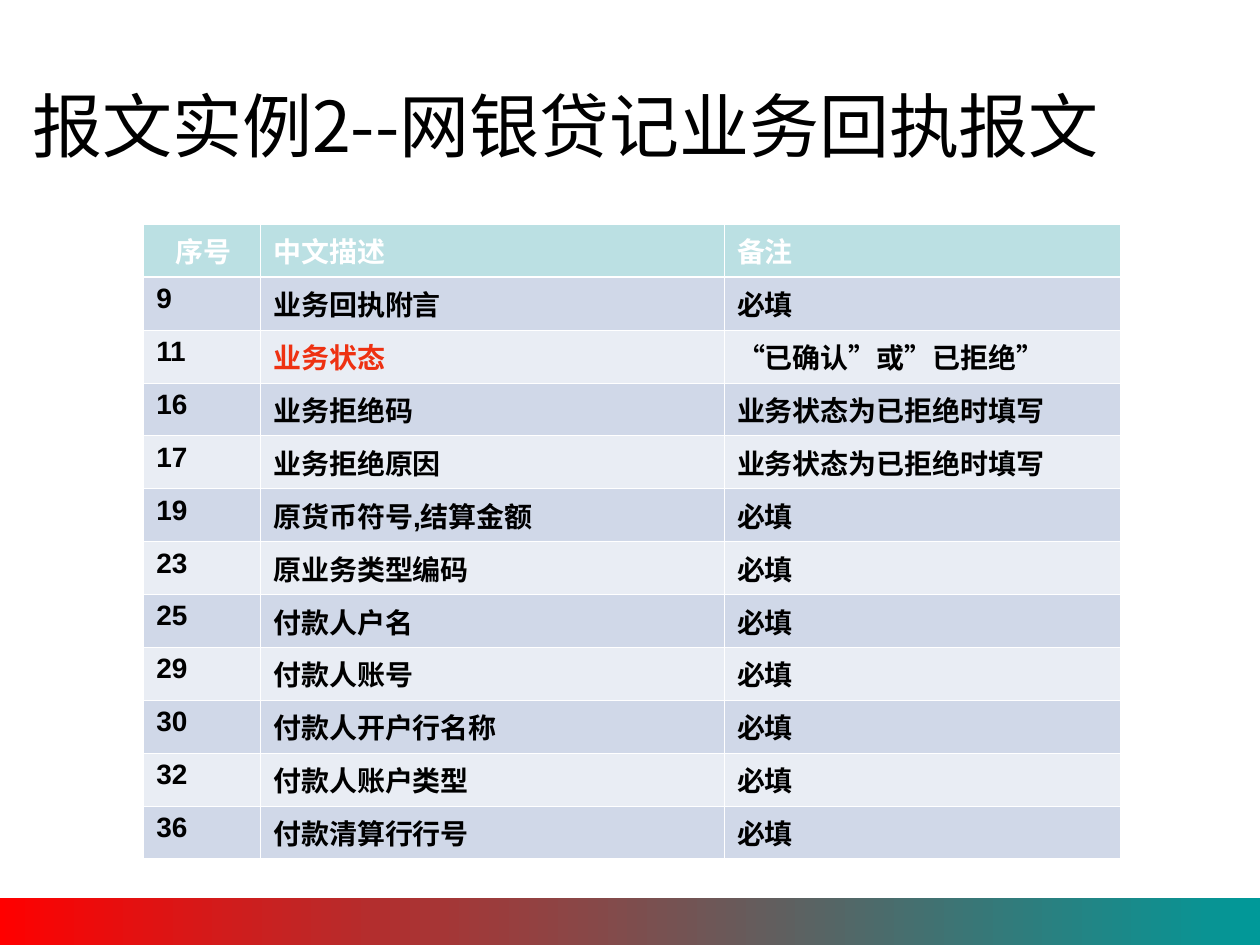
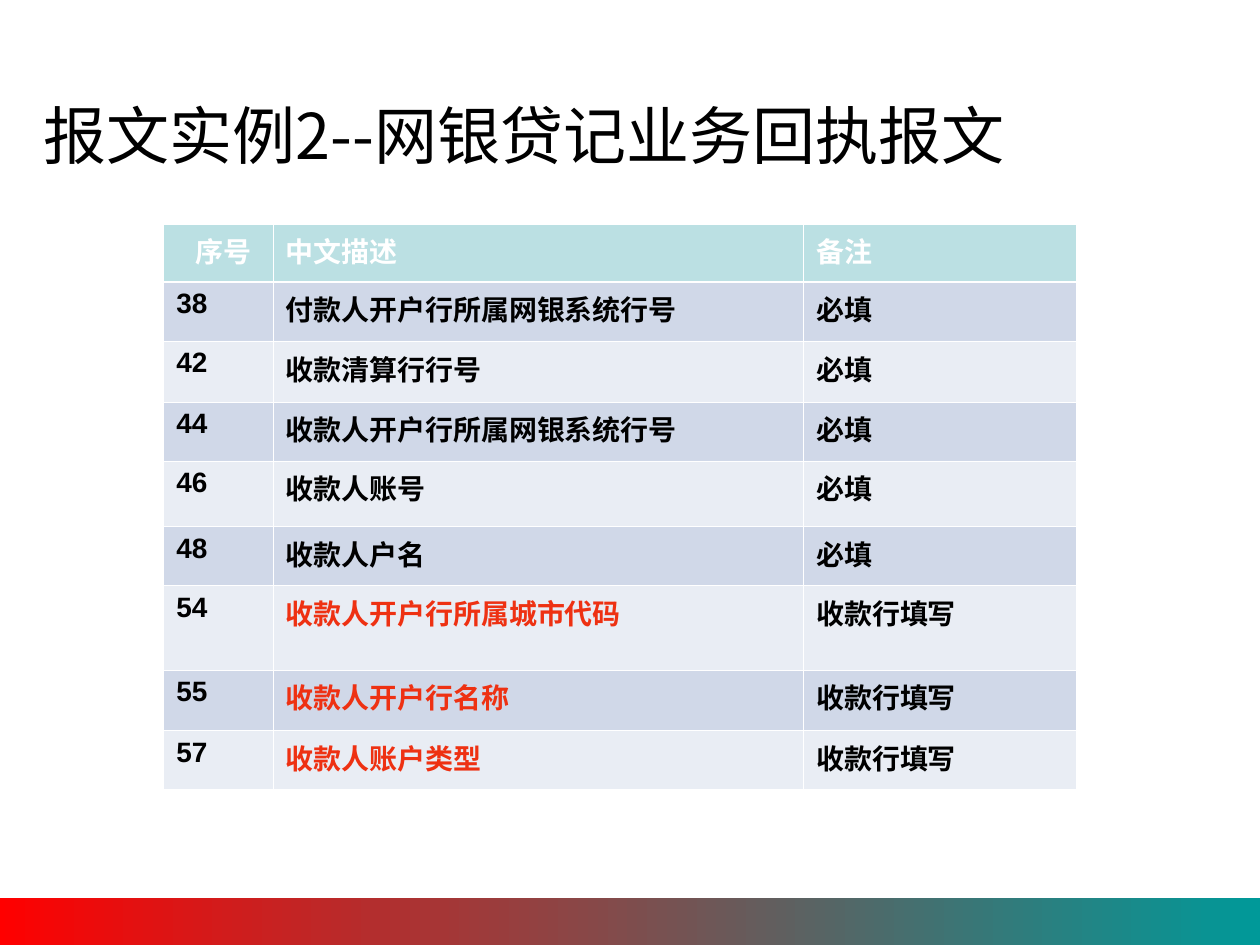
from dataclasses import dataclass

from lxml import etree
from pptx import Presentation
from pptx.dml.color import RGBColor
from pptx.enum.shapes import MSO_SHAPE
from pptx.enum.text import MSO_ANCHOR
from pptx.oxml.ns import qn
from pptx.util import Inches, Pt

RECT = MSO_SHAPE.RECTANGLE
MIDDLE = MSO_ANCHOR.MIDDLE


@dataclass(frozen=True)
class Theme:
    ink: str = "000000"
    white: str = "FFFFFF"
    alert: str = "EE3112"
    head: str = "BBE0E3"
    bands: tuple = ("D0D8E8", "E9EDF4")
    fade: tuple = ("009999", "FF0000")
    latin: str = "Arial"
    hans: str = "Noto Sans CJK SC"
    body: int = 16
    thin: float = 0.45
    thick: float = 1.47


TITLE = "报文实例2--网银贷记业务回执报文"
HEADS = ("序号", "中文描述", "备注")
MUST = "必填"
REFUSED = "业务状态为已拒绝时填写"
PAYEE = "收款行填写"
ALERTS = {"11", "54", "55", "57"}

FIRST = [
    ("9", "业务回执附言", MUST),
    ("11", "业务状态", "“已确认”或”已拒绝”"),
    ("16", "业务拒绝码", REFUSED),
    ("17", "业务拒绝原因", REFUSED),
    ("19", "原货币符号,结算金额", MUST),
    ("23", "原业务类型编码", MUST),
    ("25", "付款人户名", MUST),
    ("29", "付款人账号", MUST),
    ("30", "付款人开户行名称", MUST),
    ("32", "付款人账户类型", MUST),
    ("36", "付款清算行行号", MUST),
]
SECOND = [
    ("38", "付款人开户行所属网银系统行号", MUST),
    ("42", "收款清算行行号", MUST),
    ("44", "收款人开户行所属网银系统行号", MUST),
    ("46", "收款人账号", MUST),
    ("48", "收款人户名", MUST),
    ("54", "收款人开户行所属城市代码", PAYEE),
    ("55", "收款人开户行名称", PAYEE),
    ("57", "收款人账户类型", PAYEE),
]


class Deck:
    def __init__(self, theme):
        self.theme = theme
        self.prs = Presentation()
        self.prs.slide_width = Inches(10)
        self.prs.slide_height = Inches(7.5)

    def page(self):
        self.slide = self.prs.slides.add_slide(self.prs.slide_layouts[6])
        self.footer()

    def footer(self):
        band = self.slide.shapes.add_shape(
            RECT, Inches(-0.04), Inches(7.13), Inches(10.04), Inches(0.45))
        band.shadow.inherit = False
        band.line.fill.background()
        band.fill.gradient()
        band.fill.gradient_angle = 180
        for stop, color in zip(band.fill.gradient_stops, self.theme.fade):
            stop.color.rgb = RGBColor.from_string(color)

    def style(self, frame, size, color, latin, bold=False):
        for run in frame.paragraphs[0].runs:
            font = run.font
            font.size = Pt(size)
            font.bold = bold
            font.color.rgb = RGBColor.from_string(color)
            font.name = latin
            east = etree.SubElement(run._r.get_or_add_rPr(), qn("a:ea"))
            east.set("typeface", self.theme.hans)

    def title(self, text, left, top, width, size):
        box = self.slide.shapes.add_textbox(
            Inches(left), Inches(top), Inches(width), Inches(1.25))
        frame = box.text_frame
        frame.word_wrap = True
        frame.vertical_anchor = MIDDLE
        frame.text = text
        self.style(frame, size, self.theme.ink, self.theme.hans)

    def border(self, cell, row):
        theme = self.theme
        props = cell._tc.get_or_add_tcPr()
        for side in "LRTB":
            heavy = (row, side) in {(0, "B"), (1, "T")}
            line = etree.SubElement(props, qn("a:ln" + side))
            line.set("w", str(Pt(theme.thick if heavy else theme.thin)))
            fill = etree.SubElement(line, qn("a:solidFill"))
            etree.SubElement(fill, qn("a:srgbClr")).set("val", theme.white)

    def cell(self, cell, text, row, back, color):
        self.border(cell, row)
        cell.fill.solid()
        cell.fill.fore_color.rgb = RGBColor.from_string(back)
        cell.text_frame.text = text
        self.style(cell.text_frame, self.theme.body, color,
                   self.theme.latin, True)

    def table(self, data, left, widths, heights):
        theme = self.theme
        rows = [HEADS, *data]
        grid = self.slide.shapes.add_table(
            len(rows), len(HEADS), Inches(left), Inches(1.78),
            Inches(sum(widths)), Inches(sum(heights))).table
        for col, width in zip(grid.columns, widths):
            col.width = Inches(width)
        for line, height in zip(grid.rows, heights):
            line.height = Inches(height)
        for r, texts in enumerate(rows):
            back = theme.bands[(r - 1) % 2] if r else theme.head
            for c, text in enumerate(texts):
                color = theme.ink if r else theme.white
                if c == 1 and texts[0] in ALERTS:
                    color = theme.alert
                self.cell(grid.cell(r, c), text, r, back, color)
        grid.cell(0, 0).margin_left = Inches(0.25)


def main():
    deck = Deck(Theme())

    deck.page()
    deck.title(TITLE, 0.16, 0.36, 9.84, 40)
    deck.table(FIRST, 1.14, (0.93, 3.68, 3.14), [0.42] * 12)

    deck.page()
    deck.title(TITLE, 0.25, 0.44, 9.42, 36)
    deck.table(SECOND, 1.3, (0.87, 4.21, 2.16),
               [0.46, 0.47, 0.48, 0.47, 0.52, 0.47, 0.67, 0.48, 0.47])

    deck.prs.save("out.pptx")


if __name__ == "__main__":
    main()
